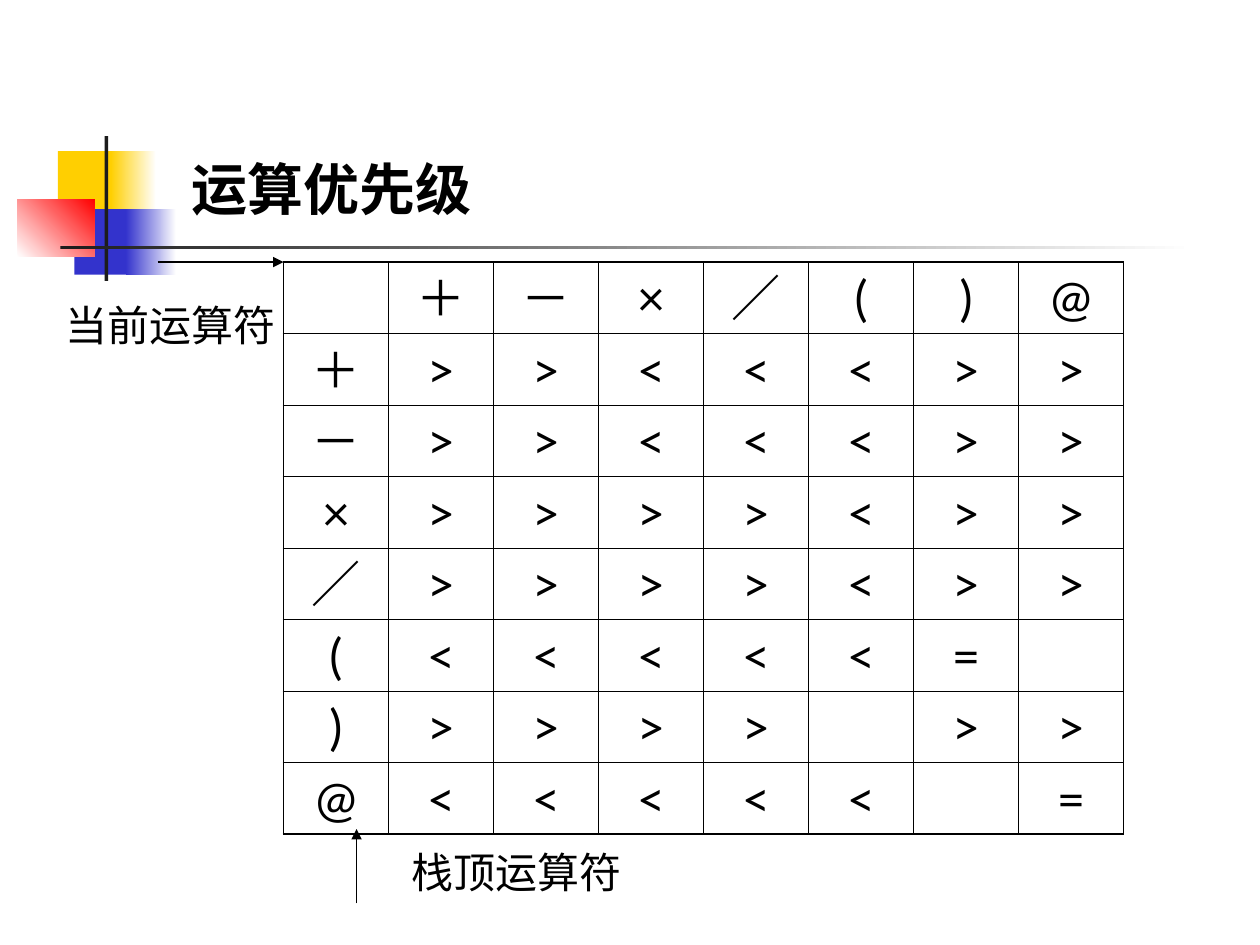
"""Build the slide showing the operator precedence table."""
from lxml import etree
from pptx import Presentation, util as u
from pptx.dml.color import RGBColor
from pptx.enum import shapes, text
from pptx.oxml.ns import qn

THEME = {
    "black": "000000", "white": "FFFFFF", "ink": "1C1C1C",
    "yellow": "FFCF01", "blue": "3333CC", "red": "FF0000",
    "title_font": "Times New Roman", "cell_font": "Lato", "label_font": "Noto Sans CJK JP",
    "title_east_asian": "Noto Sans CJK JP", "cell_east_asian": "Lato",
    "label_east_asian": "Noto Sans CJK JP",
    "title_size": 32, "cell_size": 28, "label_size": 24,
    "outer_line": 1.08, "inner_line": 0.45, "arrow_line": 0.75,
}

TITLE = ("运算优先级", (1.42, 1.17, 2.6, 0.64))
OPERATORS = ["＋", "－", "×", "／", "(", ")", "@"]
PRECEDENCE = [
    ">><<<>>",
    ">><<<>>",
    ">>>><>>",
    ">>>><>>",
    "<<<<<= ",
    ">>>> >>",
    "<<<<< =",
]
TABLE_BOX = (2.25, 2.08, 6.67, 4.53)
LABELS = [
    ("当前运算符", (0.42, 2.33, 2.25, 0.5)),
    ("栈顶运算符", (3.17, 6.67, 2.25, 0.5)),
]
ARROWS = [(2.83, 7.17, 2.83, 6.58), (1.25, 2.08, 2.25, 2.08)]
ORNAMENTS = [
    ((0.46, 1.2, 0.48, 0.52), ["yellow"], 0),
    ((0.88, 1.2, 0.36, 0.52), ["yellow", "white"], 0),
    ((0.59, 1.66, 0.46, 0.52), ["blue"], 0),
    ((1, 1.66, 0.4, 0.52), ["blue", "white"], 0),
    ((0.14, 1.58, 0.61, 0.46), ["white", "red"], 45),
    ((0.83, 1.08, 0.03, 1.15), ["ink"], 0),
    ((0.48, 1.95, 9, 0.03), ["ink", "white"], 0),
]


def inches(lengths):
    return [u.Inches(length) for length in lengths]


def color(name):
    return RGBColor.from_string(THEME[name])


def write(frame, words, role, align=text.PP_ALIGN.LEFT, bold=False):
    paragraph = frame.paragraphs[0]
    run = paragraph.add_run()
    run.text = words
    paragraph.alignment = align
    font = paragraph.font
    font.name = THEME[role + "_font"]
    font.size = u.Pt(THEME[role + "_size"])
    font.bold = bold
    font.color.rgb = color("black")
    east_asian = etree.SubElement(run.font._element, qn("a:ea"))
    east_asian.set("typeface", THEME[role + "_east_asian"])


def add_ornament(slide, box, colors, angle):
    ornament = slide.shapes.add_shape(shapes.MSO_SHAPE.RECTANGLE, *inches(box))
    ornament.shadow.inherit = False
    ornament.line.fill.background()
    if len(colors) == 1:
        ornament.fill.solid()
        ornament.fill.fore_color.rgb = color(colors[0])
        return
    ornament.fill.gradient()
    ornament.fill.gradient_angle = angle
    for stop, name in zip(ornament.fill.gradient_stops, colors):
        stop.color.rgb = color(name)


def set_borders(cell, outer_sides):
    properties = cell._tc.get_or_add_tcPr()
    for side in "LRTB":
        width = THEME["outer_line" if side in outer_sides else "inner_line"]
        border = etree.SubElement(properties, qn("a:ln" + side), w=str(u.Pt(width)))
        fill = etree.SubElement(border, qn("a:solidFill"))
        etree.SubElement(fill, qn("a:srgbClr"), val=THEME["black"])


def add_precedence_table(slide):
    rows = [["", *OPERATORS]]
    rows += [[operator, *relations] for operator, relations in zip(OPERATORS, PRECEDENCE)]
    last = len(rows) - 1
    table = slide.shapes.add_table(len(rows), len(rows), *inches(TABLE_BOX)).table
    table.first_row = table.horz_banding = False
    for i, row in enumerate(rows):
        for j, symbol in enumerate(row):
            cell = table.cell(i, j)
            edges = {"L": j == 0, "R": j == last, "T": i == 0, "B": i == last}
            set_borders(cell, [side for side, outer in edges.items() if outer])
            cell.fill.background()
            if symbol.strip():
                write(cell.text_frame, symbol, "cell", text.PP_ALIGN.CENTER)


def add_label(slide, words, box):
    frame = slide.shapes.add_textbox(*inches(box)).text_frame
    frame.word_wrap = True
    write(frame, words, "label")


def add_arrow(slide, ends):
    arrow = slide.shapes.add_connector(shapes.MSO_CONNECTOR.STRAIGHT, *inches(ends))
    arrow.line.color.rgb = color("black")
    arrow.line.width = u.Pt(THEME["arrow_line"])
    etree.SubElement(arrow.line._get_or_add_ln(), qn("a:tailEnd"), type="triangle")
    etree.SubElement(arrow._element.spPr, qn("a:effectLst"))


def place_title(slide, words, box):
    title = slide.shapes.title
    title.left, title.top, title.width, title.height = inches(box)
    title.text_frame.word_wrap = False
    title.text_frame.auto_size = text.MSO_AUTO_SIZE.NONE
    title.text_frame.vertical_anchor = text.MSO_ANCHOR.MIDDLE
    write(title.text_frame, words, "title", bold=True)


def main():
    deck = Presentation()
    deck.slide_width, deck.slide_height = inches((10, 7.5))
    slide = deck.slides.add_slide(deck.slide_layouts[5])
    for ornament in ORNAMENTS:
        add_ornament(slide, *ornament)
    place_title(slide, *TITLE)
    add_precedence_table(slide)
    for label in LABELS:
        add_label(slide, *label)
    for ends in ARROWS:
        add_arrow(slide, ends)
    deck.save("out.pptx")


if __name__ == "__main__":
    main()
